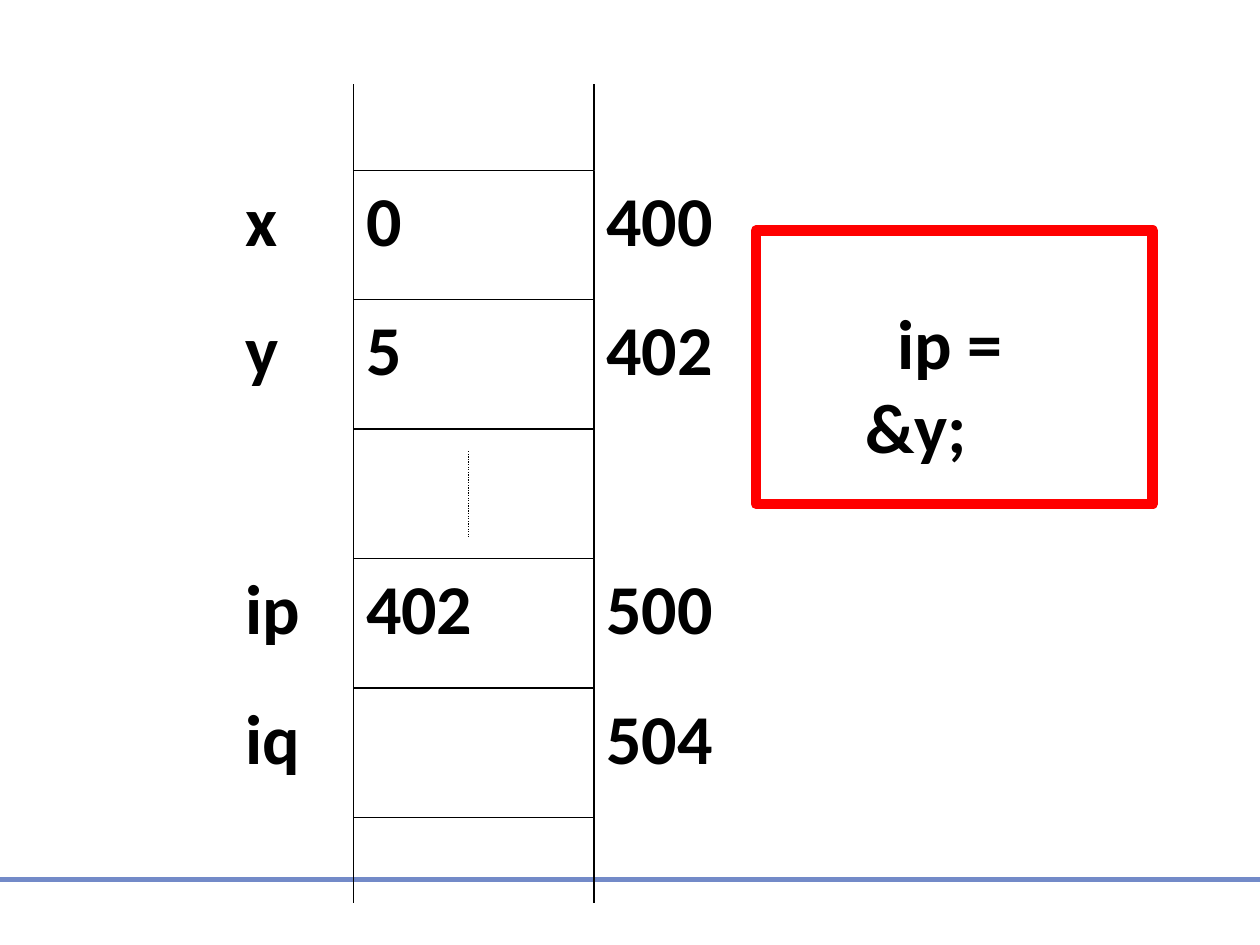
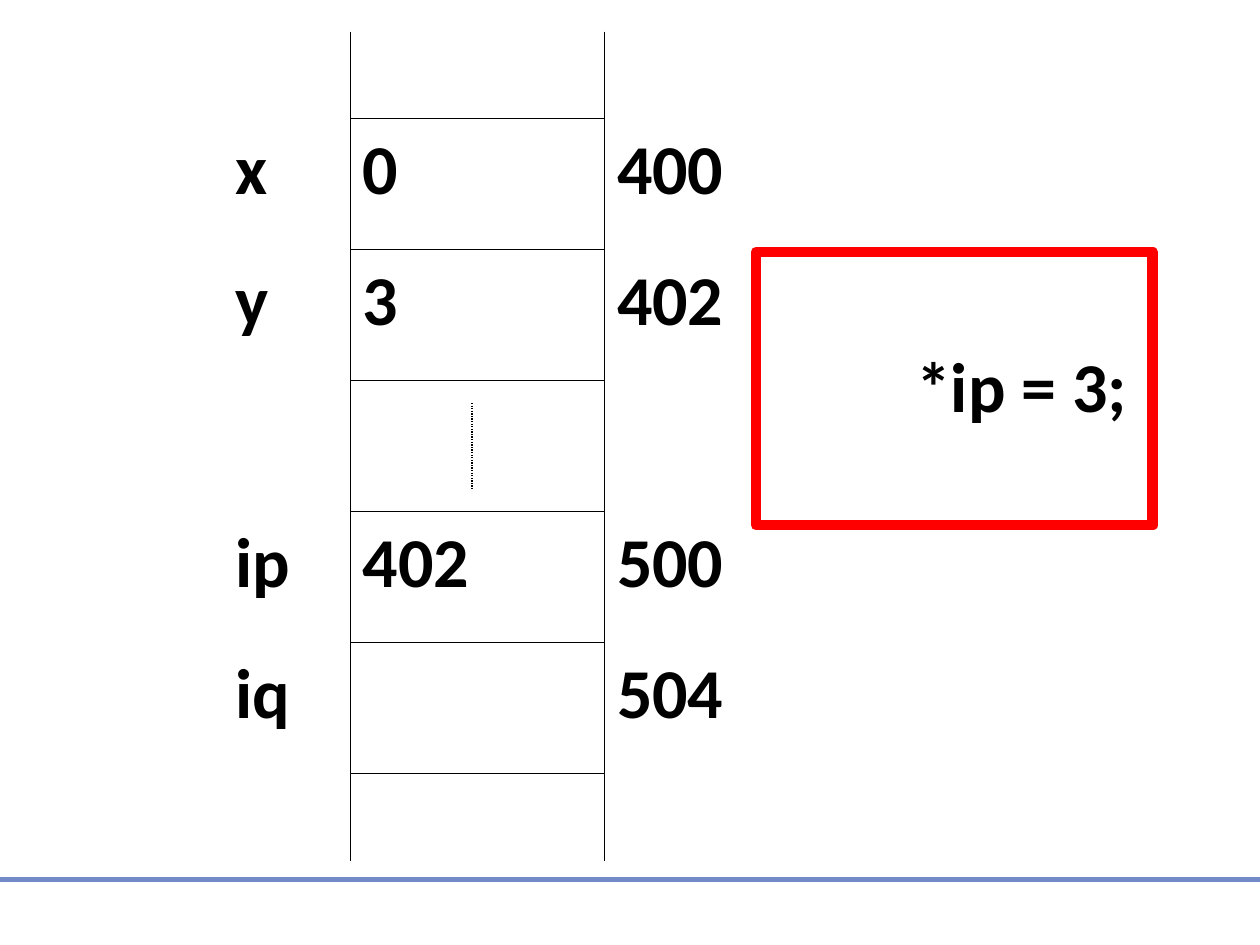
from lxml import etree
from pptx import Presentation
from pptx.dml.color import RGBColor
from pptx.enum.dml import MSO_LINE
from pptx.enum.shapes import MSO_CONNECTOR, MSO_SHAPE
from pptx.enum.text import MSO_ANCHOR, PP_ALIGN
from pptx.oxml.ns import qn
from pptx.util import Cm, Pt

RECTANGLE = MSO_SHAPE.RECTANGLE
STRAIGHT = MSO_CONNECTOR.STRAIGHT
DOTTED = MSO_LINE.ROUND_DOT
LEFT = PP_ALIGN.LEFT
TOP = MSO_ANCHOR.TOP

# Shared look, lengths in centimetres
SLIDE_WIDTH, SLIDE_HEIGHT = 25.4, 19.05
RULE_TOP = 17.73
BLACK, WHITE, RED, BLUE = "000000", "FFFFFF", "FF0000", "738AC8"
FONT, TEXT_SIZE = "Calibri", 40
THIN = 0.75

# Memory rows: variable name and address; None marks skipped memory
ROWS = [("x", "400"), ("y", "402"), None, ("ip", "500"), ("iq", "504")]

# Memory proportions, as shares of its box
CELL_LEFT, CELL_RIGHT = 0.215, 0.644
NAME_WIDTH = 0.285
STUB_HEIGHT = 0.105
GAP_LINE_LEFT = 0.42
GAP_LINE_INSET = 0.17

# Per slide: memory box, values by name, statement, its frame and text offset
SLIDES = [
    {"memory": (4.7, 1.7, 11.3, 16.51),
     "values": {"x": "0", "y": "5", "ip": "402"},
     "statement": "ip = &y;",
     "frame": (15.24, 4.65, 8, 5.51), "offset": (1.96, 1.27)},
    {"memory": (4.5, 0.64, 11.94, 16.71),
     "values": {"x": "0", "y": "3", "ip": "402"},
     "statement": "*ip = 3;",
     "frame": (15.24, 5.08, 8, 5.51), "offset": (2.34, 1.7)},
]


def color(value):
    return RGBColor.from_string(value)


def add_line(slide, start, end, line_color=BLACK, width=THIN):
    line = slide.shapes.add_connector(
        STRAIGHT, *(Cm(value) for value in (*start, *end)))
    line.line.color.rgb = color(line_color)
    line.line.width = Pt(width)
    etree.SubElement(line._element.spPr, qn("a:effectLst"))
    return line


def add_rectangle(slide, box, line_color, width, fill=None):
    shape = slide.shapes.add_shape(RECTANGLE, *(Cm(value) for value in box))
    shape.shadow.inherit = False
    if fill:
        shape.fill.solid()
        shape.fill.fore_color.rgb = color(fill)
    else:
        shape.fill.background()
    shape.line.color.rgb = color(line_color)
    shape.line.width = Pt(width)
    return shape


def set_text(shape, text):
    frame = shape.text_frame
    frame.text = text
    frame.word_wrap = True
    frame.vertical_anchor = TOP
    paragraph = frame.paragraphs[0]
    paragraph.alignment = LEFT
    for run in paragraph.runs:
        run.font.name = FONT
        run.font.size = Pt(TEXT_SIZE)
        run.font.bold = True
        run.font.color.rgb = color(BLACK)
    return paragraph


def add_text(slide, box, text):
    text_box = slide.shapes.add_textbox(*(Cm(value) for value in box))
    return set_text(text_box, text)


def add_memory(slide, box, values):
    left, top, width, height = box
    cell_left = left + CELL_LEFT * width
    cell_right = left + CELL_RIGHT * width
    stub = STUB_HEIGHT * height
    row_height = (height - 2 * stub) / len(ROWS)

    # Open ends of the memory column
    for x in (cell_left, cell_right):
        for y in (top, top + height - stub):
            add_line(slide, (x, y), (x, y + stub))

    # Cells with name, value and address
    for index, row in enumerate(ROWS):
        row_top = top + stub + index * row_height
        cell_box = (cell_left, row_top, cell_right - cell_left, row_height)
        cell = add_rectangle(slide, cell_box, BLACK, THIN, WHITE)
        if row is None:
            x = left + GAP_LINE_LEFT * width
            inset = GAP_LINE_INSET * row_height
            gap_line = add_line(slide, (x, row_top + inset),
                                (x, row_top + row_height - inset))
            gap_line.line.dash_style = DOTTED
            continue
        name, address = row
        if name in values:
            set_text(cell, values[name])
        add_text(slide, (left, row_top, NAME_WIDTH * width, row_height), name)
        address_width = left + width - cell_right
        add_text(slide, (cell_right, row_top, address_width, row_height),
                 address)


def add_statement(slide, box, offset, text):
    left, top = box[:2]
    text_box = (left + offset[0], top + offset[1], 5.46, 1.9)
    paragraph = add_text(slide, text_box, text)
    # First-line indent
    properties = paragraph._p.get_or_add_pPr()
    properties.set("marL", "0")
    properties.set("indent", str(Cm(0.64)))
    add_rectangle(slide, box, RED, 6)


def add_memory_slide(presentation, content):
    slide = presentation.slides.add_slide(presentation.slide_layouts[6])
    add_line(slide, (0, RULE_TOP), (SLIDE_WIDTH, RULE_TOP), BLUE, 3)
    add_memory(slide, content["memory"], content["values"])
    add_statement(slide, content["frame"], content["offset"],
                  content["statement"])


def main():
    presentation = Presentation()
    presentation.slide_width = Cm(SLIDE_WIDTH)
    presentation.slide_height = Cm(SLIDE_HEIGHT)
    for content in SLIDES:
        add_memory_slide(presentation, content)
    presentation.save("out.pptx")


if __name__ == "__main__":
    main()
